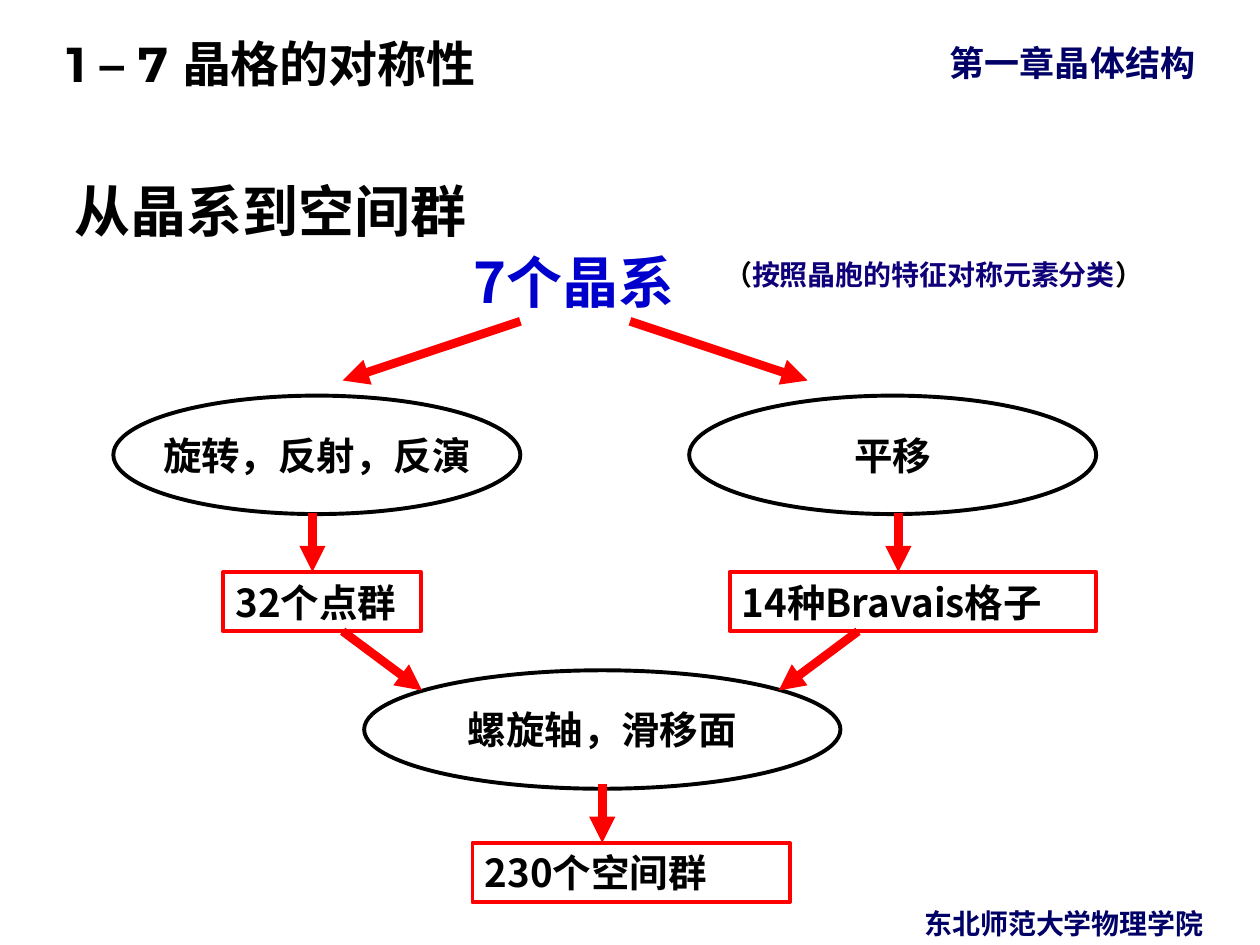
from pptx import Presentation
from pptx.dml.color import RGBColor
from pptx.enum import shapes, text
from pptx.oxml.ns import qn
from pptx.util import Inches, Pt
from lxml import etree

COLORS = {"ink": "000000", "navy": "000066", "blue": "0000CC",
          "violet": "0F007A", "red": "FF0000"}
SANS = "Noto Sans CJK SC"
LATIN = "Montserrat"
STEP = 0.47                # row height, also the drop of each arrow
OVAL_H = 2 * STEP
LEFT, RIGHT, MID = 0.9, 5.47, 2.89      # left edges of the ovals
SIDE_W, MID_W = 3.23, 3.78
TOP, OVAL, BOX, LOW, END = 2.55, 3.14, 4.54, 5.32, 6.69   # row tops


def color(name):
    return RGBColor.from_string(COLORS[name])


def write(shape, runs, size=22, font=SANS, ink="ink", align="l",
          anchor="m", wrap=True, lines=None):
    """Fill a shape with one bold paragraph; runs is a string or (text, ink) pairs."""
    frame = shape.text_frame
    frame.word_wrap = wrap
    frame.auto_size = text.MSO_AUTO_SIZE.NONE
    frame.vertical_anchor = {"m": text.MSO_ANCHOR.MIDDLE,
                             "t": text.MSO_ANCHOR.TOP,
                             "b": text.MSO_ANCHOR.BOTTOM}[anchor]
    para = frame.paragraphs[0]
    para.alignment = text.PP_ALIGN.CENTER if align == "c" else text.PP_ALIGN.LEFT
    if lines:
        para.line_spacing = lines
    for words, tint in [(runs, ink)] if isinstance(runs, str) else runs:
        run = para.add_run()
        run.text = words
        run.font.size = Pt(size)
        run.font.bold = True
        run.font.color.rgb = color(tint)
        run.font.name = font
        east = etree.SubElement(run.font._element, qn("a:ea"))
        east.set("typeface", SANS)


def label(slide, at, runs, **form):
    write(slide.shapes.add_textbox(*map(Inches, at)), runs, **form)


def node(slide, kind, at, words, line, **form):
    shape = slide.shapes.add_shape(kind, *map(Inches, at))
    shape.shadow.inherit = False
    shape.fill.background()
    shape.line.color.rgb = color(line)
    shape.line.width = Pt(2.25)
    write(shape, words, **form)


def oval(slide, x, y, width, words):
    node(slide, shapes.MSO_SHAPE.OVAL, (x, y, width, OVAL_H), words, "ink",
         align="c", wrap=False)


def box(slide, x, y, width, words):
    node(slide, shapes.MSO_SHAPE.RECTANGLE, (x, y, width, STEP), words, "red")


def arrow(slide, x, y, shift=0):
    """Arrow that drops one step and moves sideways by shift."""
    ends = map(Inches, (x, y, x + shift, y + STEP))
    line = slide.shapes.add_connector(shapes.MSO_CONNECTOR.STRAIGHT, *ends)
    line.line.color.rgb = color("red")
    line.line.width = Pt(5)
    etree.SubElement(line.line._get_or_add_ln(), qn("a:tailEnd")).set("type", "triangle")
    etree.SubElement(line._element.spPr, qn("a:effectLst"))


def main():
    deck = Presentation()
    deck.slide_width, deck.slide_height = Inches(10), Inches(7.5)
    slide = deck.slides.add_slide(deck.slide_layouts[5])

    # Title
    title = slide.shapes.title
    title.left, title.top, title.width, title.height = map(Inches, (0, 1.44, 4.3, 0.55))
    write(title, "从晶系到空间群", size=32, font=LATIN, align="c", anchor="b", lines=0.9)

    # Header and footer
    label(slide, (0.43, 0.12, 6.5, 0.64), "1 – 7 晶格的对称性",
          size=28, font=LATIN, lines=1.25)
    label(slide, (7.44, 0.28, 2.56, 0.43), "第一章晶体结构", size=20, ink="navy")
    label(slide, (6.89, 7.14, 3.11, 0.37), "东北师范大学物理学院",
          size=16, ink="navy", align="c")

    # Root of the tree
    label(slide, (3.66, 1.91, 1.97, 0.64), "7个晶系", size=32, ink="blue")
    label(slide, (5.63, 1.99, 3.56, 0.37),
          [("（", "ink"), ("按照晶胞的特征对称元素分类", "violet"), ("）", "ink")],
          size=16, align="c", wrap=False)

    # Symmetry operations
    oval(slide, LEFT, OVAL, SIDE_W, "旋转，反射，反演")
    oval(slide, RIGHT, OVAL, SIDE_W, "平移")
    oval(slide, MID, LOW, MID_W, "螺旋轴，滑移面")

    # Resulting groups
    box(slide, 1.77, BOX, 1.57, "32个点群")
    box(slide, 5.79, BOX, 2.91, "14种Bravais格子")
    box(slide, 3.75, END, 2.52, "230个空间群")

    # Arrows: start x, start y, sideways shift
    for x, y, shift in [(4.13, TOP, -1.41), (5, TOP, 1.41),
                        (2.48, BOX - STEP, 0), (7.13, BOX - STEP, 0),
                        (2.72, BOX + STEP, 0.63), (6.81, BOX + STEP, -0.63),
                        (4.78, END - STEP, 0)]:
        arrow(slide, x, y, shift)

    deck.save("out.pptx")


if __name__ == "__main__":
    main()
